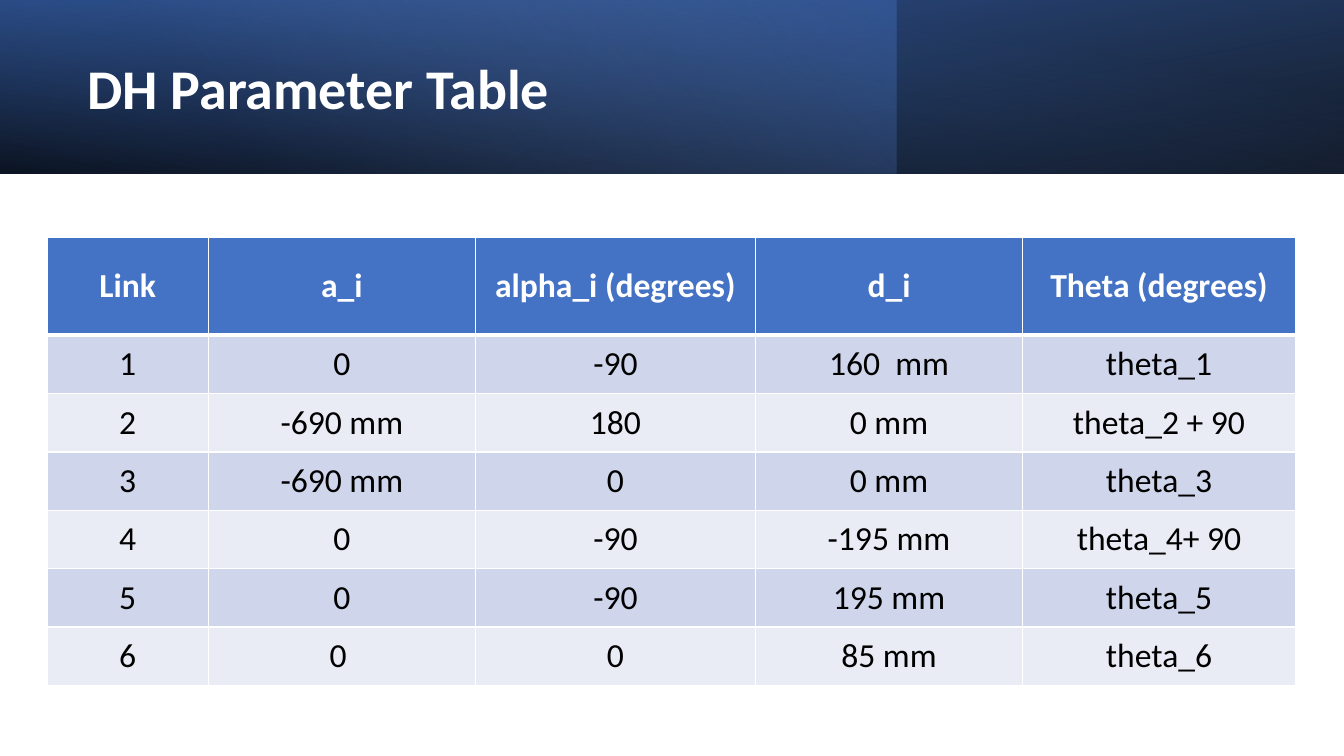
import pptx
import pptx.util
import pptx.dml.color
import pptx.enum.shapes
import pptx.enum.text
import pptx.oxml.ns
from lxml import etree

Cm = pptx.util.Cm
Pt = pptx.util.Pt
RGBColor = pptx.dml.color.RGBColor
qn = pptx.oxml.ns.qn

BLACK = RGBColor(0x00, 0x00, 0x00)
WHITE = RGBColor(0xFF, 0xFF, 0xFF)
NAVY = RGBColor(0x2F, 0x55, 0x97)
BLUE = RGBColor(0x44, 0x72, 0xC4)
SKY = RGBColor(0x8F, 0xAA, 0xDC)
BAND_DARK = RGBColor(0xCF, 0xD5, 0xEA)
BAND_LIGHT = RGBColor(0xE9, 0xEB, 0xF5)

SLIDE_W, SLIDE_H, BANNER_H = 33.87, 19.05, 4.37
COL_WIDTHS = [4.06, 6.73, 7.06, 6.73, 6.88]
HEADER_H, ROW_H = 2.46, 1.47
DH_ROWS = [
    ["Link", "a_i", "alpha_i (degrees)", "d_i", "Theta (degrees)"],
    ["1", "0", "-90", "160  mm", "theta_1"],
    ["2", "-690 mm", "180", "0 mm", "theta_2 + 90"],
    ["3", "-690 mm", "0", "0 mm", "theta_3"],
    ["4", "0", "-90", "-195 mm", "theta_4+ 90"],
    ["5", "0", "-90", "195 mm", "theta_5"],
    ["6", "0 ", "0", "85 mm", "theta_6"],
]


class Deck:
    """Hold the style and the current slide, and add elements to it."""

    font = "Calibri"
    anchor = pptx.enum.text.MSO_ANCHOR.MIDDLE

    def __init__(self):
        self.prs = pptx.Presentation()
        self.prs.slide_width = Cm(SLIDE_W)
        self.prs.slide_height = Cm(SLIDE_H)
        self.s = self.prs.slides.add_slide(self.prs.slide_layouts[6])

    def style(self, p, size, color, bold):
        p.font.name = self.font
        p.font.size = Pt(size)
        p.font.bold = bold
        p.font.color.rgb = color

    def banner(self, width, stops, angle, flip=False, rotation=0):
        sp = self.s.shapes.add_shape(
            pptx.enum.shapes.MSO_SHAPE.RECTANGLE, 0, 0, Cm(width), Cm(BANNER_H))
        sp.shadow.inherit = False
        sp.line.fill.background()
        sp.rotation = rotation
        if flip:
            sp._element.spPr.find(qn("a:xfrm")).set("flipH", "1")
        sp.fill.gradient()
        sp.fill.gradient_angle = 360 - angle
        for stop, (position, color, _) in zip(sp.fill.gradient_stops, stops):
            stop.position = position
            stop.color.rgb = color
        colors = sp._element.spPr.iter(qn("a:srgbClr"))
        for clr, (_, _, opacity) in zip(colors, stops):
            etree.SubElement(clr, qn("a:alpha"), val=str(opacity * 1000))

    def title(self, text, left, top, width, height):
        tf = self.s.shapes.add_textbox(
            Cm(left), Cm(top), Cm(width), Cm(height)).text_frame
        tf.word_wrap = True
        tf.vertical_anchor = self.anchor
        p = tf.paragraphs[0]
        p.text = text
        p.line_spacing = 0.9
        self.style(p, 40, WHITE, True)

    def border(self, cell, side, width):
        ln = etree.SubElement(
            cell._tc.get_or_add_tcPr(), qn(f"a:ln{side}"), w=str(Pt(width)))
        fill = etree.SubElement(ln, qn("a:solidFill"))
        etree.SubElement(fill, qn("a:srgbClr"), val=str(WHITE))

    def cell(self, cell, text, row):
        header = row == 0
        cell.margin_left = cell.margin_right = Cm(0.33)
        cell.margin_top = cell.margin_bottom = Cm(0.17)
        cell.vertical_anchor = self.anchor
        for side in "LRTB":
            thick = (header and side == "B") or (row == 1 and side == "T")
            self.border(cell, side, 3 if thick else 1)
        cell.fill.solid()
        band = BAND_DARK if row % 2 else BAND_LIGHT
        cell.fill.fore_color.rgb = BLUE if header else band
        p = cell.text_frame.paragraphs[0]
        p.text = text
        p.alignment = pptx.enum.text.PP_ALIGN.CENTER
        self.style(p, 24, WHITE if header else BLACK, header)

    def table(self, rows, left, top):
        heights = [HEADER_H] + [ROW_H] * (len(rows) - 1)
        table = self.s.shapes.add_table(
            len(rows), len(COL_WIDTHS), Cm(left), Cm(top),
            Cm(sum(COL_WIDTHS)), Cm(sum(heights))).table
        table.horz_banding = False
        for column, width in zip(table.columns, COL_WIDTHS):
            column.width = Cm(width)
        for r, (texts, height) in enumerate(zip(rows, heights)):
            table.rows[r].height = Cm(height)
            for c, text in enumerate(texts):
                self.cell(table.cell(r, c), text, r)


def main():
    deck = Deck()
    deck.banner(SLIDE_W, [(0, BLACK, 96), (1, NAVY, 100)], 100, True, 180)
    deck.banner(SLIDE_W * 2 / 3, [(0, BLUE, 41), (0.74, SKY, 0)], 140)
    deck.banner(SLIDE_W, [(0, BLACK, 63), (0.78, BLUE, 15)], 260, True)
    deck.title("DH Parameter Table", 1.96, 0.69, 19.61, 3.23)
    deck.table(DH_ROWS, 1.19, 5.99)
    deck.prs.save("out.pptx")


if __name__ == "__main__":
    main()
